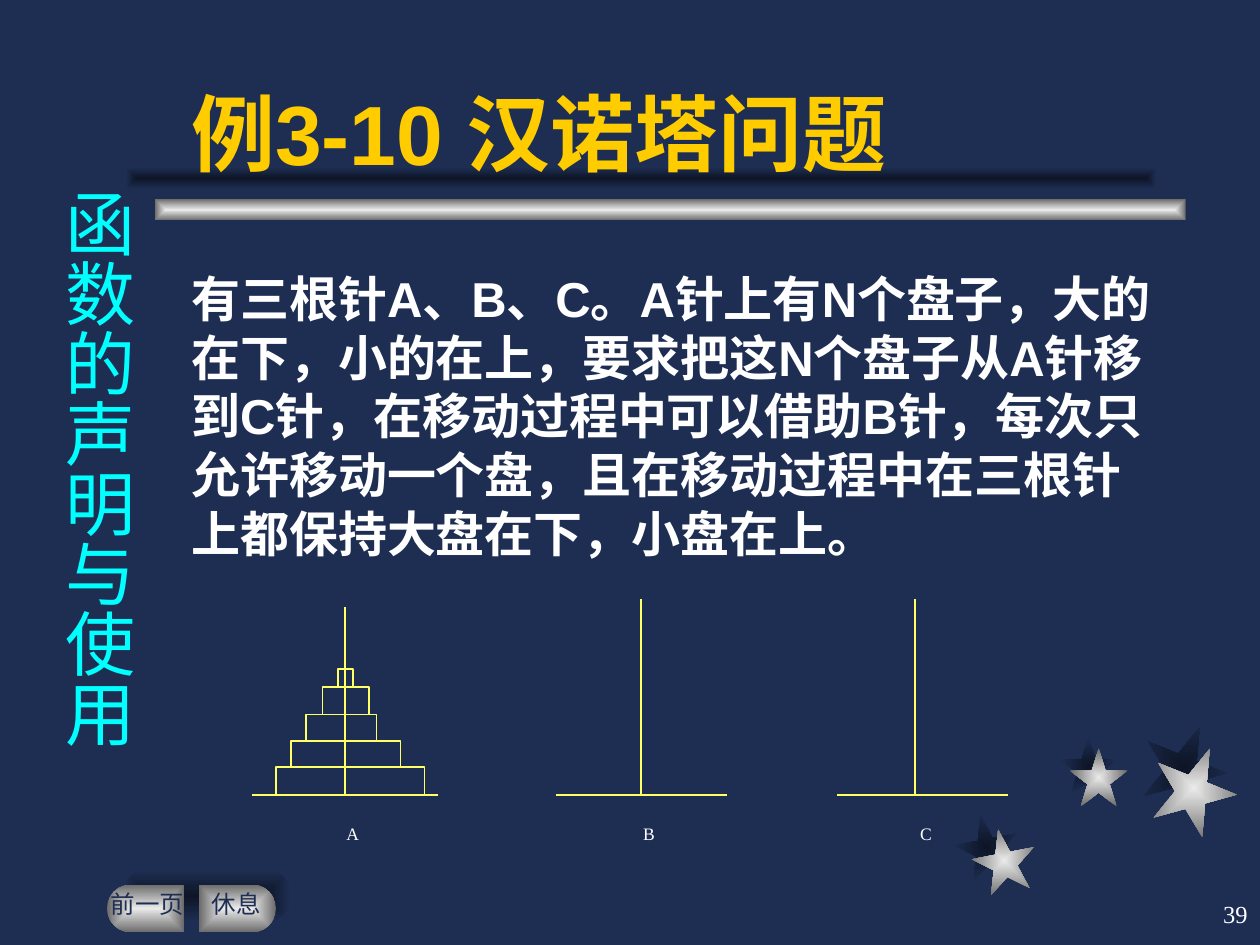
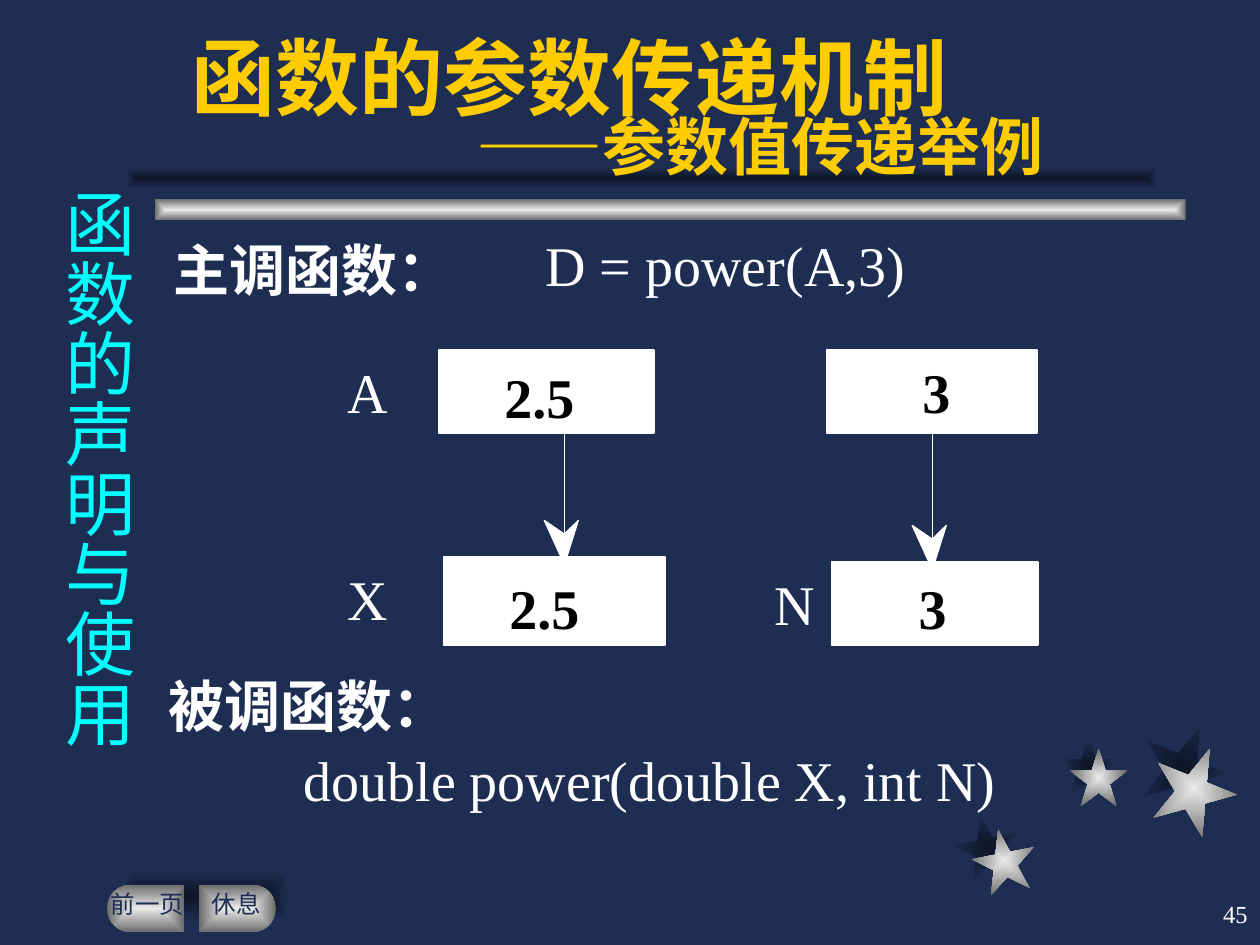
from dataclasses import dataclass
from math import cos, sin, radians
from lxml.etree import SubElement
from pptx import Presentation
from pptx.dml.color import RGBColor
from pptx.enum.shapes import MSO_CONNECTOR as CONN, MSO_SHAPE as SHAPE
from pptx.enum.text import MSO_ANCHOR as ANCHOR, PP_ALIGN as ALIGN
from pptx.oxml.ns import qn
from pptx.util import Inches, Pt


@dataclass(frozen=True)
class Theme:
    bg: str = "1E2E53"
    dark: str = "0D1526"
    light: str = "EAEAEA"
    grey: str = "6B6B6B"
    gold: str = "FFCC00"
    cyan: str = "00FFFF"
    yellow: str = "FFFF66"
    white: str = "FFFFFF"
    black: str = "000000"
    sans: str = "Arial"
    serif: str = "Times New Roman"
    title: int = 48
    subtitle: int = 36
    sidebar: int = 40
    body: int = 28
    code: int = 32
    small: int = 14
    peg: int = 10


T = Theme()
SHADOW = (T.dark, T.bg)
METAL = (T.light, T.grey)

SIDEBAR = "函数的声明与使用"
STARS = [
    ((7.58, 6.47), (7.72, 6.58), 0.5, 349),
    ((8.41, 5.85), (8.49, 5.94), 0.46, 0),
    ((9.06, 5.75), (9.14, 5.92), 0.67, 22),
]
BUTTONS = [("前一页", 1.46, -1, 0.88), ("休息", 1.58, 1, 1.68)]

HANOI = {
    "page": "39",
    "title": [("例3-10 汉诺塔问题", T.title, 0, 1)],
    "body": "有三根针A、B、C。A针上有N个盘子，大的在下，小的在上，要求把这N个盘子从A针移到C针，"
            "在移动过程中可以借助B针，每次只允许移动一个盘，且在移动过程中在三根针上都保持大盘在下，小盘在上。",
    "base": 6.31,
    "pegs": [
        ("A", 2, 3.48, 2.74, 4.82, 2.8),
        ("B", 4.41, 5.77, 5.09, 4.75, 5.15),
        ("C", 6.64, 8, 7.26, 4.75, 7.35),
    ],
    "disks": [(2.19, 1.18, 0.22), (2.31, 0.87, 0.21), (2.43, 0.56, 0.21),
              (2.56, 0.37, 0.22), (2.68, 0.12, 0.14)],
}
POWER = {
    "page": "45",
    "title": [("函数的参数传递机制", T.title, 0, 0.7),
              ("——参数值传递举例", T.subtitle, 2.26, 0.78)],
    "arrows": [(4.48, 3.27, 4.48), (7.4, 3.31, 4.52)],
    "boxes": [(3.52, 4.42, 1.76, 0.7), (6.6, 4.46, 1.64, 0.66),
              (6.56, 2.78, 1.67, 0.66), (3.48, 2.78, 1.71, 0.66)],
    "values": [("2.5", 3.89, 2.88, 0.67), ("3", 7.32, 2.84, 0.22),
               ("2.5", 3.93, 4.55, 0.67), ("3", 7.29, 4.55, 0.22)],
    "labels": [
        ("主调函数：", 1.38, 1.87, 2.23, True),
        ("D = power(A,3)", 4.33, 1.83, 2.86, False),
        ("A", 2.76, 2.84, 0.32, False),
        ("X", 2.76, 4.48, 0.32, False),
        ("N", 6.15, 4.52, 0.32, False),
        ("被调函数：", 1.34, 5.33, 2.23, True),
        ("double power(double X, int N)", 2.41, 5.92, 5.5, False),
    ],
}


def rgb(color):
    return RGBColor.from_string(color)


def apply(obj, values):
    for name, value in values.items():
        setattr(obj, name, value)


def paint(sp, fill=None, line=None, width=1):
    sp.shadow.inherit = False
    if isinstance(fill, tuple):
        sp.fill.gradient()
        for stop, color in zip(sp.fill.gradient_stops, fill):
            stop.color.rgb = rgb(color)
        grad = sp._element.spPr.find(qn("a:gradFill"))
        grad.remove(grad.find(qn("a:lin")))
        center = SubElement(grad, qn("a:path"), {"path": "rect"})
        SubElement(center, qn("a:fillToRect"), dict.fromkeys("ltrb", "50000"))
    elif fill:
        sp.fill.solid()
        sp.fill.fore_color.rgb = rgb(fill)
    else:
        sp.fill.background()
    if line:
        sp.line.color.rgb = rgb(line)
        sp.line.width = Pt(width)
    else:
        sp.line.fill.background()


def shape(s, kind, box, rotation=0, **look):
    sp = s.shapes.add_shape(kind, *map(Inches, box))
    sp.rotation = rotation
    paint(sp, **look)
    return sp


def polygon(s, points, **look):
    start, *rest = [(Inches(x), Inches(y)) for x, y in points]
    builder = s.shapes.build_freeform(*start)
    builder.add_line_segments(rest, close=True)
    paint(builder.convert_to_shape(), **look)


def line(s, x1, y1, x2, y2, color):
    c = s.shapes.add_connector(CONN.STRAIGHT, *map(Inches, (x1, y1, x2, y2)))
    c.line.color.rgb = rgb(color)
    c.line.width = Pt(1)
    SubElement(c._element.spPr, qn("a:effectLst"))


def write(sp, paragraphs, color, font=T.serif, bold=False, align=ALIGN.LEFT,
          anchor=ANCHOR.TOP, margins=(0, 0), wrap=True):
    tf = sp.text_frame
    mx, my = map(Inches, margins)
    apply(tf, {"word_wrap": wrap, "vertical_anchor": anchor, "margin_left": mx,
               "margin_right": mx, "margin_top": my, "margin_bottom": my})
    for i, (words, size, indent, spacing) in enumerate(paragraphs):
        p = tf.add_paragraph() if i else tf.paragraphs[0]
        apply(p, {"alignment": align, "line_spacing": spacing})
        props = p._p.get_or_add_pPr()
        props.set("hangingPunct", "0")
        if indent:
            props.set("marL", str(Inches(indent)))
        r = p.add_run()
        r.text = words
        apply(r.font, {"name": font, "size": Pt(size), "bold": bold})
        r.font.color.rgb = rgb(color)
    return tf


def text(s, box, paragraphs, color, **fmt):
    return write(s.shapes.add_textbox(*map(Inches, box)), paragraphs, color, **fmt)


def button_outline(flat, side, top=7.02, radius=0.19, length=0.61):
    mid, cx = top + radius, flat + side * (length - radius)
    arc = [(cx + side * radius * cos(radians(a)), mid + radius * sin(radians(a)))
           for a in range(-90, 91, 15)]
    return [(flat, top), *arc, (flat, top + 2 * radius)]


def base_slide(prs, content):
    s = prs.slides.add_slide(prs.slide_layouts[6])
    s.background.fill.solid()
    s.background.fill.fore_color.rgb = rgb(T.bg)
    for layer, fill in enumerate((SHADOW, METAL)):
        for *places, size, angle in STARS:
            shape(s, SHAPE.STAR_5_POINT, (*places[layer], size, size), angle, fill=fill)
    for x, y, fill in ((1.23, 1.58, METAL), (1, 1.33, SHADOW)):
        shape(s, SHAPE.RECTANGLE, (x, y, 8.18, 0.17), fill=fill)
    pill = shape(s, SHAPE.ROUNDED_RECTANGLE, (0.97, 6.9, 1.34, 0.42), fill=SHADOW)
    pill.adjustments[0] = 0.5
    for label, flat, side, x in BUTTONS:
        polygon(s, button_outline(flat, side), fill=METAL)
        text(s, (x, 7.06, 0.67, 0.23), [(label, T.small, 0, 1)], T.bg)
    text(s, (1.42, 0.25, 7.83, 1.25), content["title"], T.gold, font=T.sans, bold=True,
         anchor=ANCHOR.BOTTOM, margins=(0.1, 0.05))
    tf = text(s, (0.3, 1, 0.86, 5.42), [(SIDEBAR, T.sidebar, 0, 1)], T.cyan,
              margins=(0.05, 0.1))
    tf.margin_top = Inches(0.5)
    tf._txBody.bodyPr.set("vert", "eaVert")
    text(s, (7.92, 7, 2.08, 0.5), [(content["page"], T.small, 0, 1)], T.white,
         align=ALIGN.RIGHT, anchor=ANCHOR.MIDDLE, margins=(0.1, 0.05))
    return s


def hanoi_slide(prs):
    s = base_slide(prs, HANOI)
    text(s, (1.42, 2.08, 7.92, 4.5), [(HANOI["body"], T.body, 0, 1)], T.white,
         font=T.sans, bold=True, margins=(0.1, 0.05))
    base = HANOI["base"]
    for name, left, right, pole, top, label_x in HANOI["pegs"]:
        line(s, left, base, right, base, T.yellow)
        line(s, pole, base, pole, top, T.yellow)
        text(s, (label_x - 0.37, 6.48, 0.74, 0.27), [(name, T.peg, 0, 1)], T.white,
             align=ALIGN.CENTER, margins=(0.1, 0.05))
    y = base
    for x, width, height in HANOI["disks"]:
        y -= height
        shape(s, SHAPE.RECTANGLE, (x, y, width, height), line=T.yellow)


def power_slide(prs):
    s = base_slide(prs, POWER)
    for x, top, tip in POWER["arrows"]:
        line(s, x, top, x, tip - 0.2, T.white)
        head = [(x, tip), (x - 0.16, tip - 0.35), (x, tip - 0.24), (x + 0.11, tip - 0.35)]
        polygon(s, head, fill=T.white, line=T.white, width=0.75)
    for box in POWER["boxes"]:
        shape(s, SHAPE.RECTANGLE, box, fill=T.white, line=T.white)
    for value, x, y, width in POWER["values"]:
        sp = shape(s, SHAPE.RECTANGLE, (x, y, width, 0.53), line=T.white, width=0.75)
        write(sp, [(value, T.code, 0, 1)], T.black, bold=True, align=ALIGN.RIGHT)
    for words, x, y, width, bold in POWER["labels"]:
        text(s, (x, y, width, 0.53), [(words, T.code, 0, 1)], T.white, bold=bold, wrap=False)


def main():
    prs = Presentation()
    apply(prs, {"slide_width": Inches(10), "slide_height": Inches(7.5)})
    hanoi_slide(prs)
    power_slide(prs)
    prs.save("out.pptx")


if __name__ == "__main__":
    main()
